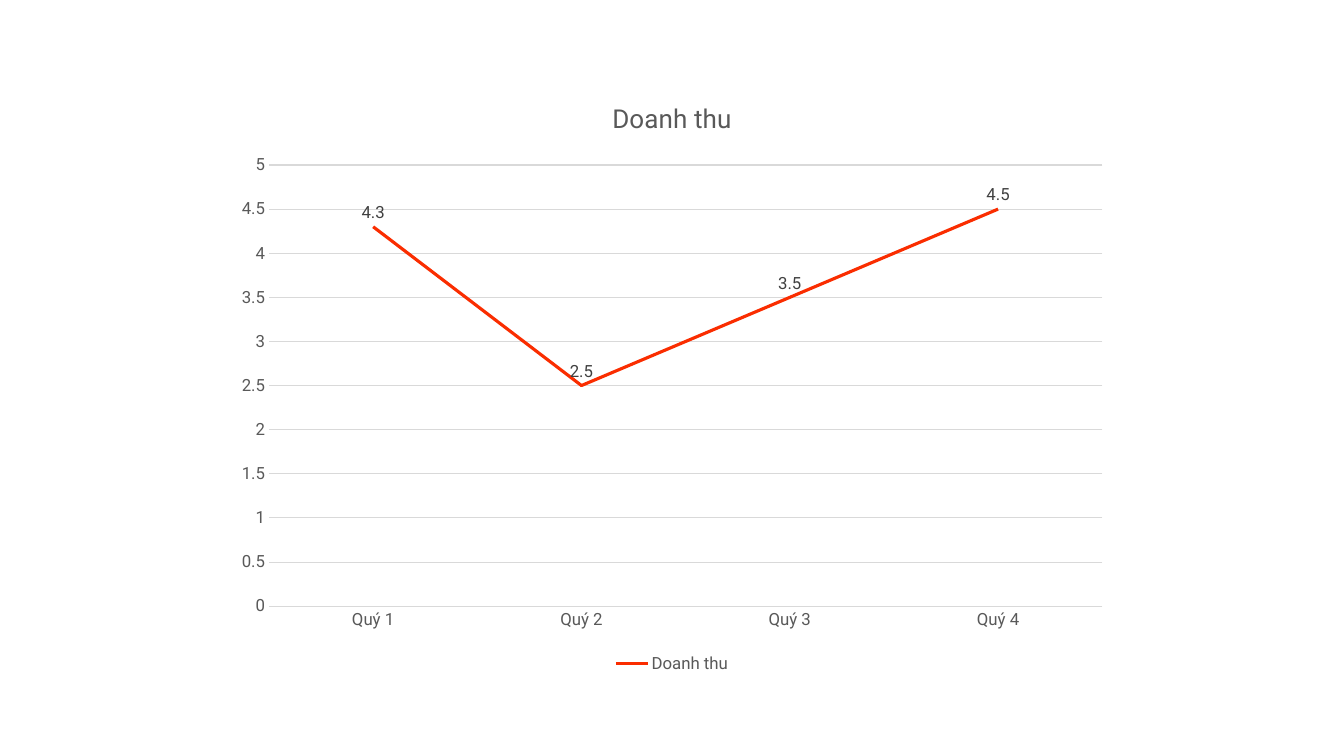
"""Build a slide with a line chart of quarterly revenue."""
from pptx import Presentation
from pptx.chart.data import CategoryChartData
from pptx.dml.color import RGBColor
from pptx.enum.chart import (XL_CHART_TYPE, XL_LABEL_POSITION, XL_LEGEND_POSITION,
                             XL_MARKER_STYLE, XL_TICK_MARK)
from pptx.util import Inches, Pt

LINE_CHART = XL_CHART_TYPE.LINE
LABEL_ABOVE = XL_LABEL_POSITION.ABOVE
LEGEND_BOTTOM = XL_LEGEND_POSITION.BOTTOM
NO_MARKER = XL_MARKER_STYLE.NONE
NO_TICK = XL_TICK_MARK.NONE
GRAY, PALE, DARK, RED = "595959", "D9D9D9", "404040", "FA2D00"


def style_font(font, size, color):
    font.name = "Roboto"
    font.size = Pt(size)
    font.bold = False
    font.color.rgb = RGBColor.from_string(color)


def style_line(line, color, width):
    line.color.rgb = RGBColor.from_string(color)
    line.width = Pt(width)


deck = Presentation()
deck.slide_width = Inches(13.33)
deck.slide_height = Inches(7.5)
page = deck.slides.add_slide(deck.slide_layouts[6])

revenue = CategoryChartData(number_format="General")
revenue.categories = ["Quý 1", "Quý 2", "Quý 3", "Quý 4"]
revenue.add_series("Doanh thu", [4.3, 2.5, 3.5, 4.5])
chart = page.shapes.add_chart(LINE_CHART, Inches(2.22), Inches(0.79),
                              Inches(8.89), Inches(5.93), revenue).chart
style_font(chart.font, 10, "000000")

chart.has_title = True
title = chart.chart_title.text_frame
title.text = "Doanh thu"
style_font(title.paragraphs[0].runs[0].font, 18.6, GRAY)
chart.chart_title.include_in_layout = False

chart.has_legend = True
chart.legend.position = LEGEND_BOTTOM
chart.legend.include_in_layout = False
style_font(chart.legend.font, 12, GRAY)

for axis in (chart.category_axis, chart.value_axis):
    axis.major_tick_mark = NO_TICK
    axis.minor_tick_mark = NO_TICK
    style_font(axis.tick_labels.font, 12, GRAY)
style_line(chart.category_axis.format.line, PALE, 0.75)

value_axis = chart.value_axis
value_axis.minimum_scale = 0
value_axis.maximum_scale = 5
value_axis.major_unit = 0.5
value_axis.format.line.fill.background()
style_line(value_axis.major_gridlines.format.line, PALE, 0.75)

plot = chart.plots[0]
plot.vary_by_categories = False
series = plot.series[0]
series.smooth = False
series.marker.style = NO_MARKER
style_line(series.format.line, RED, 2.25)
labels = series.data_labels
labels.show_value = True
labels.position = LABEL_ABOVE
style_font(labels.font, 12, DARK)

deck.save("out.pptx")
